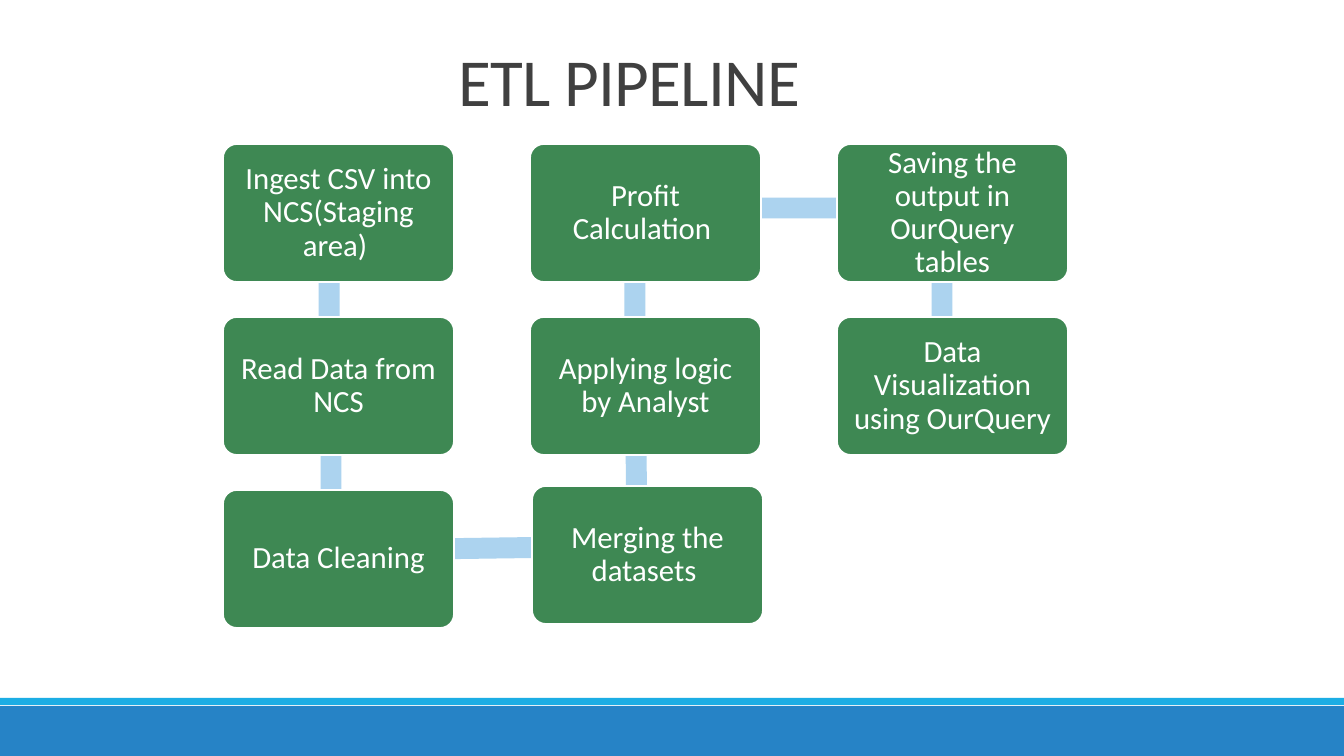
"""Build the ETL pipeline slide: a snake of process steps joined by bars."""
import dataclasses

import pptx
import pptx.dml.color
import pptx.enum.shapes
import pptx.enum.text
import pptx.util

TITLE = "ETL PIPELINE "
TITLE_BOX = (253, 34, 767, 92)
STEPS = [
    ("Ingest CSV into NCS(Staging area) ", 0, 0),
    ("Read Data from NCS", 0, 1),
    ("Data Cleaning", 0, 2),
    ("Merging the datasets ", 1, 2),
    ("Applying logic by Analyst", 1, 1),
    ("Profit Calculation ", 1, 0),
    ("Saving the output in OurQuery tables", 2, 0),
    ("Data Visualization using OurQuery", 2, 1),
]
STEP_NUDGES = {(1, 2): (2, -4)}
JOINING_BARS = [
    (329, 266, 172, 90),
    (331, 446, 172, 90),
    (429, 549, 307, 359.2),
    (636, 426, 167, 269.6),
    (635, 271, 172, 270),
    (738, 208, 306, 0),
    (942, 266, 172, 90),
]
SLIDE_WIDTH, SLIDE_HEIGHT = 1344, 756
GRID_LEFT, GRID_TOP = 223, 144
COLUMN_STEP, ROW_STEP = 307, 173
STEP_WIDTH, STEP_HEIGHT = 231, 138
STEP_INSET = 13
BAR_THICKNESS = 21
EMU_PER_PX = 914400 / 100.8


@dataclasses.dataclass(frozen=True)
class Theme:
    """Colours and type sizes of the slide."""
    font: str = "Calibri"
    title_size: int = 48
    step_size: int = 22
    title: str = "404040"
    step: str = "3E8853"
    white: str = "FFFFFF"
    bar: str = "ACD3EF"
    footer: str = "2683C6"
    footer_edge: str = "1CADE4"


THEME = Theme()
SHAPES = pptx.enum.shapes.MSO_SHAPE


def px(length):
    return pptx.util.Emu(round(length * EMU_PER_PX))


def rgb(code):
    return pptx.dml.color.RGBColor.from_string(code)


def add_block(slide, kind, box, fill):
    shape = slide.shapes.add_shape(kind, *map(px, box))
    shape.shadow.inherit = False
    shape.fill.solid()
    shape.fill.fore_color.rgb = rgb(fill)
    shape.line.fill.background()
    return shape


def write(shape, text, size, color, inset_x, inset_y):
    frame = shape.text_frame
    frame.word_wrap = True
    frame.auto_size = pptx.enum.text.MSO_AUTO_SIZE.NONE
    frame.vertical_anchor = pptx.enum.text.MSO_ANCHOR.MIDDLE
    frame.margin_left = frame.margin_right = px(inset_x)
    frame.margin_top = frame.margin_bottom = px(inset_y)
    frame.text = text
    paragraph = frame.paragraphs[0]
    paragraph.alignment = pptx.enum.text.PP_ALIGN.CENTER
    paragraph.font.name = THEME.font
    paragraph.font.size = pptx.util.Pt(size)
    paragraph.font.color.rgb = rgb(color)
    return paragraph


def add_title(slide):
    title = slide.shapes.title
    title.left, title.top, title.width, title.height = map(px, TITLE_BOX)
    paragraph = write(title, TITLE, THEME.title_size, THEME.title, 10, 5)
    paragraph.runs[0].font._element.set("spc", "-50")


def add_joining_bar(slide, center_x, center_y, length, angle):
    box = (center_x - length / 2, center_y - BAR_THICKNESS / 2, length, BAR_THICKNESS)
    add_block(slide, SHAPES.RECTANGLE, box, THEME.bar).rotation = angle


def add_step(slide, text, column, row):
    nudge_x, nudge_y = STEP_NUDGES.get((column, row), (0, 0))
    left = GRID_LEFT + column * COLUMN_STEP + nudge_x
    top = GRID_TOP + row * ROW_STEP + nudge_y
    box = (left, top, STEP_WIDTH, STEP_HEIGHT)
    shape = add_block(slide, SHAPES.ROUNDED_RECTANGLE, box, THEME.step)
    shape.adjustments[0] = 0.1
    shape.line.color.rgb = rgb(THEME.white)
    shape.line.width = pptx.util.Pt(1.25)
    paragraph = write(shape, text, THEME.step_size, THEME.white, STEP_INSET, STEP_INSET)
    paragraph.line_spacing = 0.9


def main():
    presentation = pptx.Presentation()
    presentation.slide_width = px(SLIDE_WIDTH)
    presentation.slide_height = px(SLIDE_HEIGHT)
    slide = presentation.slides.add_slide(presentation.slide_layouts[5])
    add_block(slide, SHAPES.RECTANGLE, (0, 706, SLIDE_WIDTH, 50), THEME.footer)
    add_block(slide, SHAPES.RECTANGLE, (0, 698, SLIDE_WIDTH, 7), THEME.footer_edge)
    add_title(slide)
    for bar in JOINING_BARS:
        add_joining_bar(slide, *bar)
    for step in STEPS:
        add_step(slide, *step)
    presentation.save("out.pptx")


if __name__ == "__main__":
    main()
